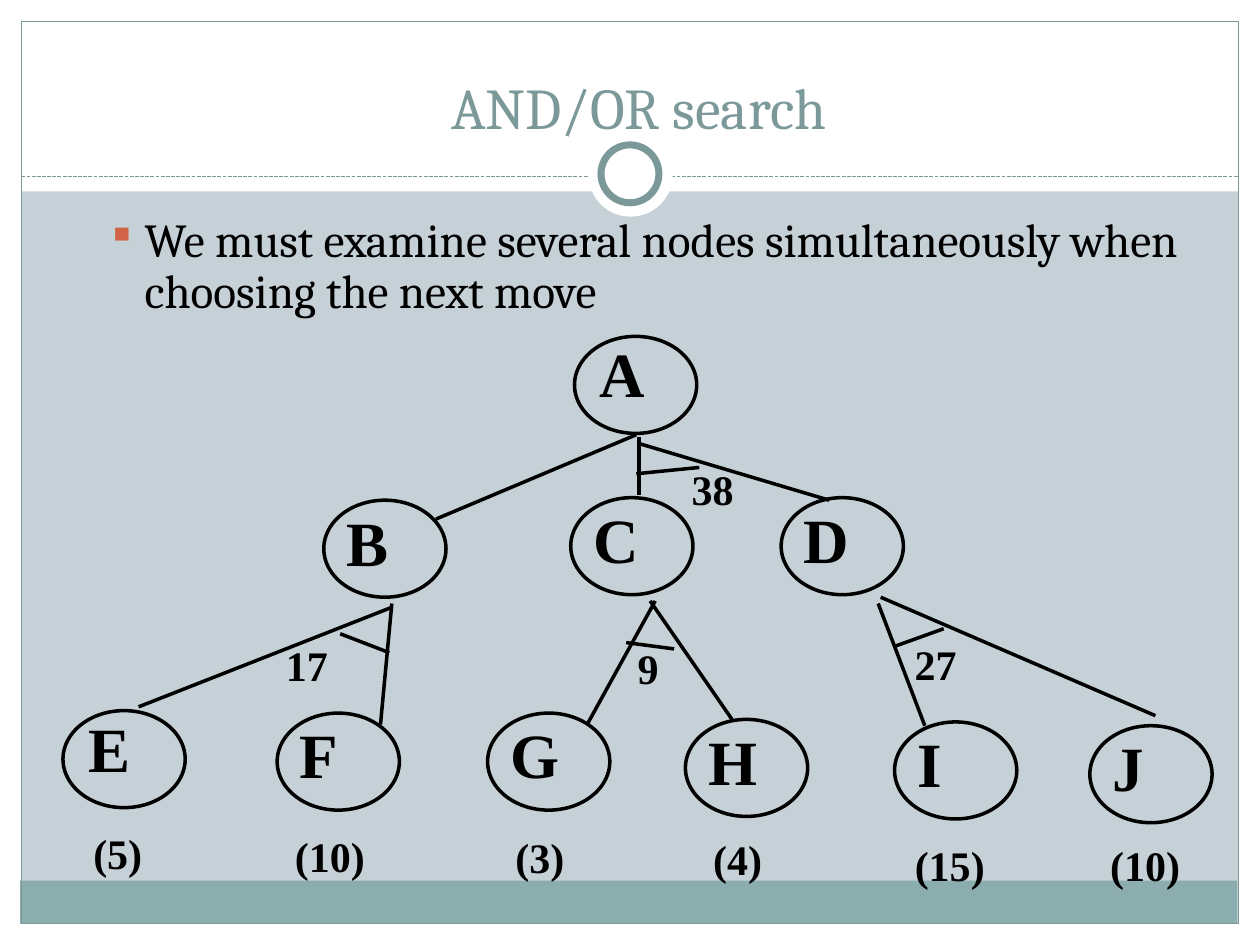
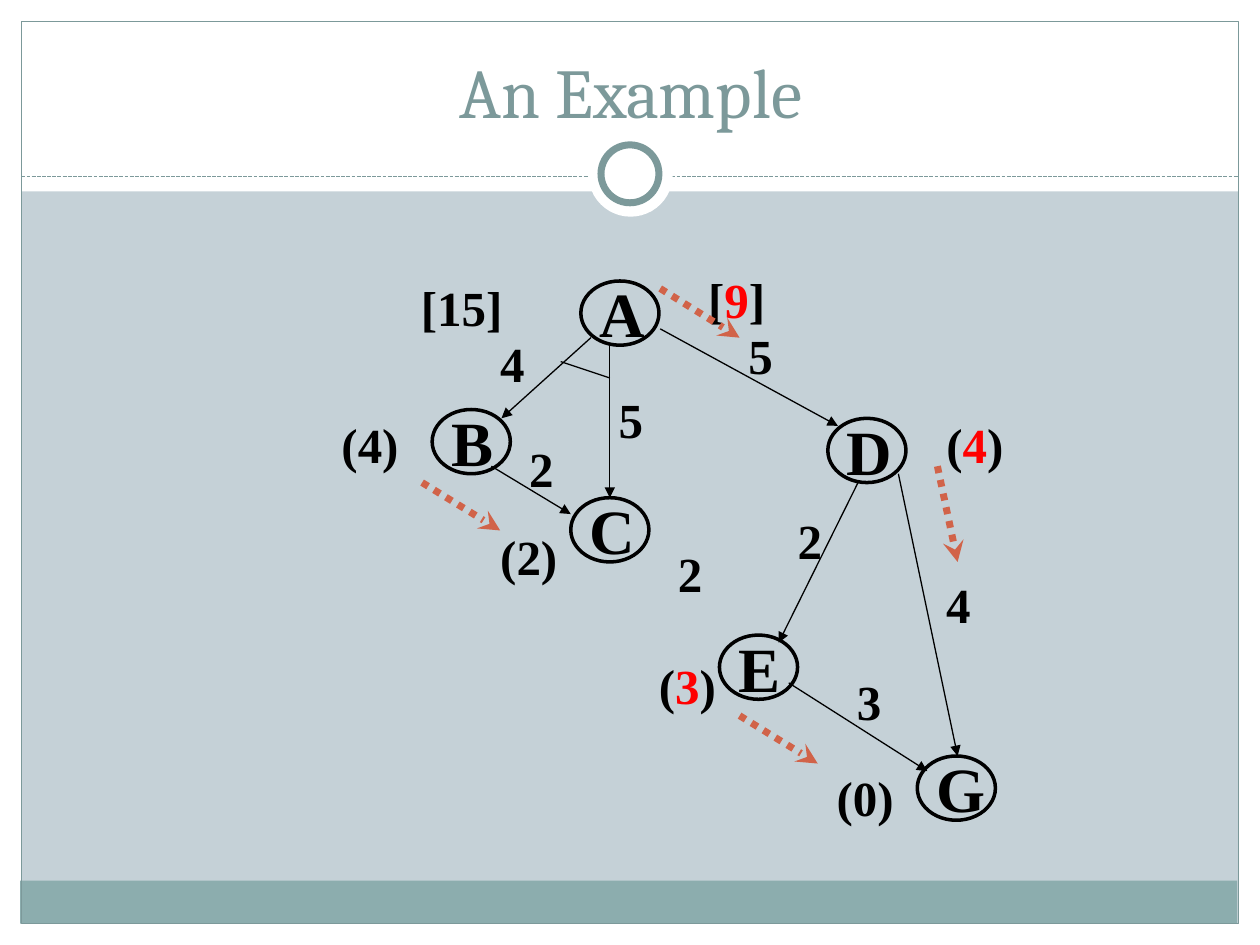
from lxml import etree
from pptx import Presentation
from pptx import util as u
from pptx.dml.color import RGBColor
from pptx.enum import dml, shapes, text
from pptx.oxml.ns import qn

# ---- Shared look ----
INK, RED, ORANGE = "000000", "FF0000", "D16349"
WHITE, SLATE, TEAL, MIST = "FFFFFF", "7C999A", "8CADAE", "C5D1D7"
SERIF, ROMAN = "Cambria", "Times New Roman"
OVAL, RECT = shapes.MSO_SHAPE.OVAL, shapes.MSO_SHAPE.RECTANGLE
DASHES = {"sysDash": dml.MSO_LINE.SQUARE_DOT, "sysDot": dml.MSO_LINE.ROUND_DOT}

MASKS = [  # left, top, width, height, fill
    (0, 7.33, 10, 0.17, WHITE), (0, 0, 10, 1.52, WHITE),
    (0, 0, 0.17, 7.5, WHITE), (9.83, 0, 0.17, 7.5, WHITE),
    (0.16, 6.99, 9.66, 0.34, TEAL),
]

# ---- Slide 1: AND/OR tree ----
TREE = {
    "title": ("AND/OR search", (0.61, 0.25, 8.92, 0.92), 33),
    "node_size": (0.97, 0.77), "letter_box": (0.78, 0.72),
    "letter_offset": (0.11, 0.07),
    "label_widths": {1: 0.47, 2: 0.73, 3: 0.82, 4: 1.08},
    "label_height": 0.49, "label_size": 24, "label_spacing": 0.85,
    "nodes": {
        "A": (4.56, 2.67), "B": (2.57, 3.97), "C": (4.53, 3.95),
        "D": (6.2, 3.95), "E": (0.5, 5.64), "F": (2.2, 5.66),
        "G": (3.87, 5.66), "H": (5.44, 5.71), "I": (7.1, 5.73),
        "J": (8.65, 5.76),
    },
    "raised": {"A": (0.13, 0.03), "E": (0.13, 0.04)},
    "labels": [
        (5.42, 3.71, "38"), (2.2, 5.11, "17"), (4.99, 5.13, "9"),
        (7.19, 5.1, "27"), (0.67, 6.6, "(5)"), (2.27, 6.62, "(10)"),
        (4.02, 6.63, "(3)"), (5.59, 6.65, "(4)"), (7.19, 6.69, "(15)"),
        (8.74, 6.69, "(10)"),
    ],
}
PRINCIPLE = ("We must examine several nodes simultaneously when "
             "choosing the next move")
BRANCHES = [
    (5.07, 3.47, 5.07, 3.93), (5.05, 3.45, 3.46, 4.12),
    (5.07, 3.52, 6.58, 3.97), (3.11, 4.82, 1.1, 5.61),
    (3.11, 4.79, 3.02, 5.75), (5.2, 4.77, 4.66, 5.75),
    (5.16, 4.77, 5.81, 5.71), (6.97, 4.79, 7.34, 5.76),
    (6.99, 4.74, 9.17, 5.68),
]
AND_ARCS = [
    (5.05, 3.76, 5.55, 3.71), (2.7, 5.03, 3.09, 5.18),
    (4.97, 5.1, 5.35, 5.15), (7.1, 5.13, 7.49, 4.99),
]

# ---- Slide 2: worked example ----
EXAMPLE = {
    "title": ("An Example", (0.35, 0.28, 9.31, 0.82), 40),
    "node_size": (0.62, 0.51), "letter_box": (0.5, 0.47),
    "letter_offset": (0.08, 0),
    "label_widths": {1: 0.33, 3: 0.59, 4: 0.79},
    "label_height": 0.38, "label_size": 28, "label_spacing": 0.88,
    "nodes": {
        "A": (4.61, 2.23), "B": (3.43, 3.25), "C": (4.53, 3.95),
        "D": (6.57, 3.32), "E": (5.71, 5.04), "G": (7.28, 6),
    },
    "raised": {},
    "labels": [
        (2.64, 3.32, "(4)"), (3.9, 4.21, "(2)"), (6.57, 6.12, "(0)"),
        (3.27, 2.23, "[15]"), (3.9, 2.68, "4"), (5.87, 2.61, "5"),
        (4.84, 3.12, "5"), (4.13, 3.51, "2"), (5.31, 4.34, "2"),
        (6.26, 4.08, "2"), (7.44, 4.59, "4"), (6.73, 5.36, "3"),
    ],
}
REVISED_COSTS = [(7.44, 3.32, "(4)"), (5.16, 5.23, "(3)"), (5.55, 2.17, "[9]")]
ARROWS = [
    (4.69, 2.68, 3.98, 3.32), (4.84, 2.74, 4.84, 3.95),
    (3.9, 3.7, 4.53, 4.08), (5.24, 2.61, 6.65, 3.38),
    (6.81, 3.83, 6.18, 5.1), (7.13, 3.76, 7.6, 6),
    (6.26, 5.42, 7.36, 6.12),
]
EXAMPLE_ARC = (4.45, 2.87, 4.84, 3)
CHOSEN_PATHS = [
    (5.24, 2.29, 5.87, 2.68), (7.44, 3.7, 7.6, 4.46),
    (3.35, 3.83, 3.97, 4.21), (5.87, 5.68, 6.49, 6.06),
]


# ---- Helpers ----
def color(hex_code):
    return RGBColor.from_string(hex_code)


def inches(values):
    return [u.Inches(value) for value in values]


def assign(target, values):
    for name, value in values.items():
        setattr(target, name, value)


def style_font(font, size, face, hue=INK, bold=False):
    assign(font, {"size": u.Pt(size), "name": face, "bold": bold})
    font.color.rgb = color(hue)


def add_preset(slide, kind, box, fill=None, line=None, weight=0.75):
    preset = slide.shapes.add_shape(kind, *inches(box))
    preset.shadow.inherit = False
    if fill:
        preset.fill.solid()
        preset.fill.fore_color.rgb = color(fill)
    else:
        preset.fill.background()
    if line:
        preset.line.color.rgb = color(line)
        preset.line.width = u.Pt(weight)
    else:
        preset.line.fill.background()


def add_line(slide, ends, hue=INK, weight=0.75, dash=None, head=None):
    link = slide.shapes.add_connector(shapes.MSO_CONNECTOR.STRAIGHT, *inches(ends))
    link.line.color.rgb = color(hue)
    link.line.width = u.Pt(weight)
    if dash:
        link.line.dash_style = DASHES[dash]
    properties = link._element.spPr
    if head:
        etree.SubElement(properties.find(qn("a:ln")), qn("a:tailEnd"), type=head)
    etree.SubElement(properties, qn("a:effectLst"))


def add_label(slide, box, words, size, spacing, red_middle=False):
    label = slide.shapes.add_textbox(*inches(box))
    frame = label.text_frame
    assign(frame, {
        "word_wrap": True, "auto_size": text.MSO_AUTO_SIZE.NONE,
        "margin_left": u.Inches(0.07), "margin_right": 0,
        "margin_top": u.Inches(0.03), "margin_bottom": 0,
    })
    line = frame.paragraphs[0]
    line.line_spacing = spacing
    parts = list(words) if red_middle else [words]
    for part in parts:
        run = line.add_run()
        run.text = part
        hue = RED if red_middle and part.isdigit() else INK
        style_font(run.font, size, ROMAN, hue, bold=True)


def add_title(slide, words, box, size):
    title = slide.shapes.title
    assign(title, dict(zip(("left", "top", "width", "height"), inches(box))))
    title.text = words
    assign(title.text_frame, {
        "vertical_anchor": text.MSO_ANCHOR.BOTTOM, "word_wrap": True,
        "auto_size": text.MSO_AUTO_SIZE.NONE,
    })
    heading = title.text_frame.paragraphs[0]
    heading.alignment = text.PP_ALIGN.CENTER
    style_font(heading.runs[0].font, size, SERIF, SLATE)


def add_principle(slide):
    body = slide.shapes.add_textbox(*inches((0.75, 1.67, 8.75, 1.06)))
    body.text_frame.word_wrap = True
    point = body.text_frame.paragraphs[0]
    point.line_spacing = 0.9
    indent = u.Inches(0.3)
    properties = point._p.get_or_add_pPr()
    properties.set("marL", str(indent))
    properties.set("indent", str(-indent))
    bullet_hue = etree.SubElement(properties, qn("a:buClr"))
    etree.SubElement(bullet_hue, qn("a:srgbClr"), val=ORANGE)
    etree.SubElement(properties, qn("a:buSzPct"), val="85000")
    etree.SubElement(properties, qn("a:buChar"), char="▪")
    run = point.add_run()
    run.text = PRINCIPLE
    style_font(run.font, 27, SERIF)


def add_graph(slide, graph):
    add_title(slide, *graph["title"])
    for letter, (left, top) in graph["nodes"].items():
        add_preset(slide, OVAL, (left, top, *graph["node_size"]), line=INK, weight=2)
        dx, dy = graph["raised"].get(letter, graph["letter_offset"])
        add_label(slide, (left + dx, top + dy, *graph["letter_box"]), letter, 36, 0.88)
    add_costs(slide, graph, graph["labels"])


def add_costs(slide, graph, costs, red_middle=False):
    for left, top, words in costs:
        box = (left, top, graph["label_widths"][len(words)], graph["label_height"])
        add_label(slide, box, words, graph["label_size"],
                  graph["label_spacing"], red_middle)


def move_frame_to_master(slide, master):
    """Draw the shared bands, border and ring, then hand them to the master."""
    for *box, fill in MASKS:
        add_preset(slide, RECT, box, fill=fill)
    add_preset(slide, RECT, (0.17, 0.17, 9.66, 7.16), line=SLATE)
    add_line(slide, (0.17, 1.4, 9.83, 1.4), SLATE, dash="sysDash")
    add_preset(slide, OVAL, (4.67, 1.05, 0.67, 0.67), fill=WHITE)
    add_preset(slide, OVAL, (4.77, 1.15, 0.46, 0.46), WHITE, SLATE, 4)
    frame = [part for part in slide.shapes if not part.is_placeholder]
    for number, part in enumerate(frame, start=100):
        part._element.xpath(".//p:cNvPr")[0].set("id", str(number))
        master.shapes._spTree.append(part._element)


def main():
    deck = Presentation()
    deck.slide_width, deck.slide_height = inches((10, 7.5))
    master = deck.slide_master
    master.background.fill.solid()
    master.background.fill.fore_color.rgb = color(MIST)
    title_only = deck.slide_layouts[5]

    # AND/OR tree
    tree = deck.slides.add_slide(title_only)
    move_frame_to_master(tree, master)
    add_principle(tree)
    add_graph(tree, TREE)
    for ends in BRANCHES + AND_ARCS:
        add_line(tree, ends, weight=2)

    # Worked example
    example = deck.slides.add_slide(title_only)
    add_graph(example, EXAMPLE)
    add_costs(example, EXAMPLE, REVISED_COSTS, red_middle=True)
    for ends in ARROWS:
        add_line(example, ends, head="triangle")
    add_line(example, EXAMPLE_ARC)
    for ends in CHOSEN_PATHS:
        add_line(example, ends, ORANGE, 4, "sysDot", "stealth")

    deck.save("out.pptx")


if __name__ == "__main__":
    main()
